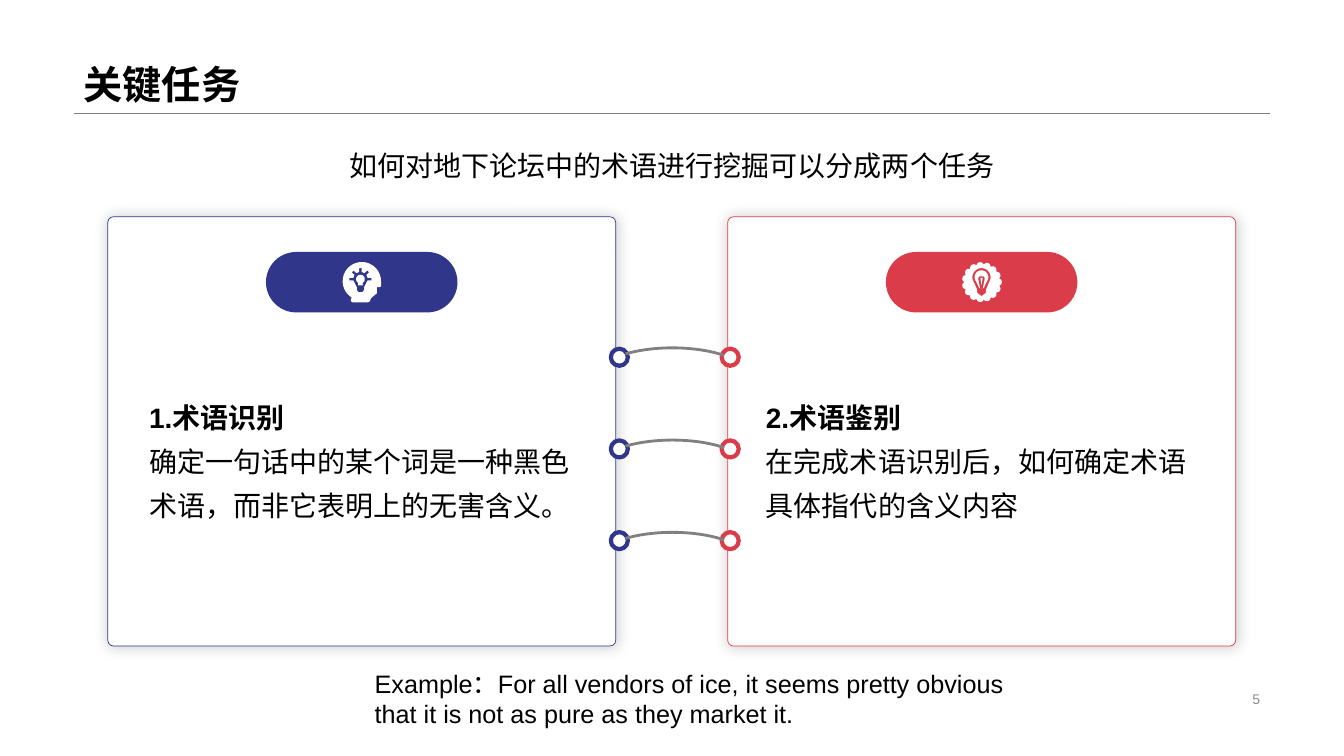
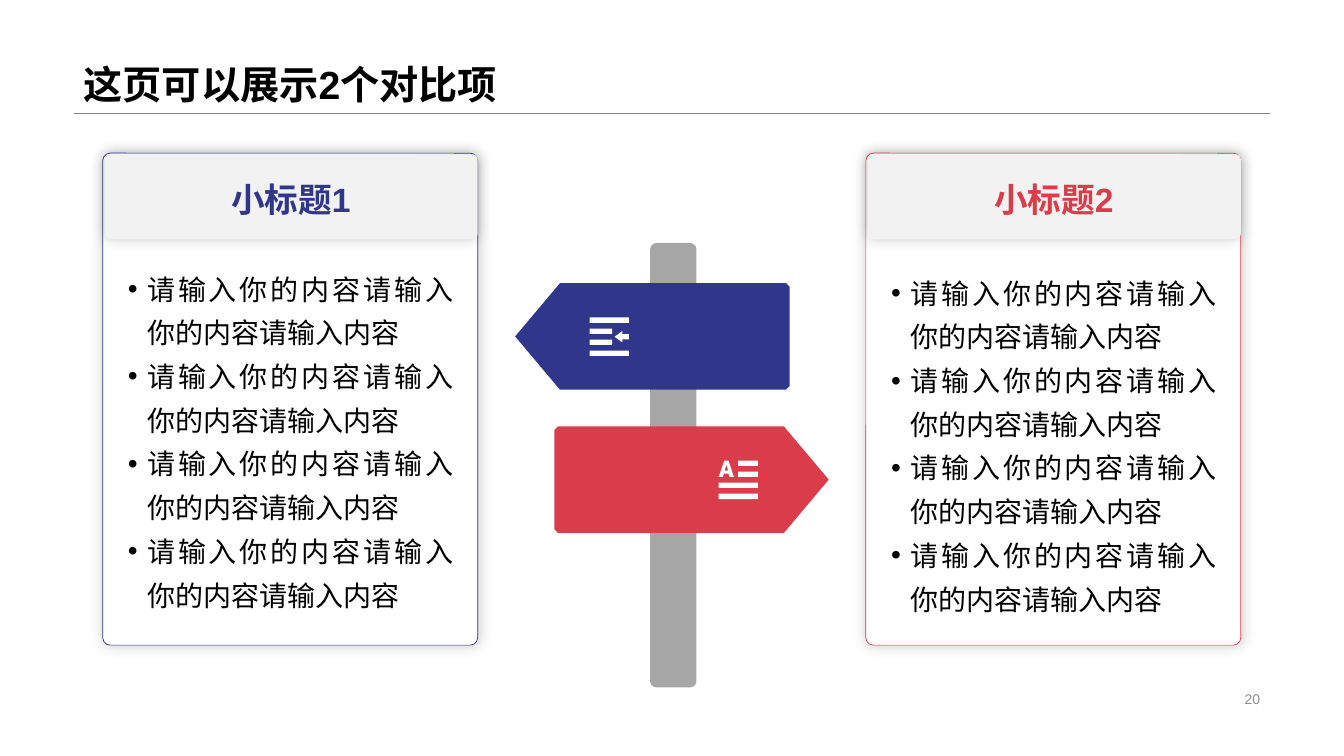
from dataclasses import dataclass
from math import cos, radians, sin
from typing import Any

from lxml import etree
from pptx import Presentation
from pptx import util as u
from pptx.dml.color import RGBColor
from pptx.enum import shapes, text
from pptx.oxml import ns

Point = tuple[float, float]
Contour = list[Point]
Box = tuple[float, float, float, float]

# Shared style
BLUE = RGBColor(0x30, 0x36, 0x89)
RED = RGBColor(0xDA, 0x3C, 0x49)
WHITE = RGBColor(0xFF, 0xFF, 0xFF)
BLACK = RGBColor(0, 0, 0)
GRAY = RGBColor(0x80, 0x80, 0x80)
POLE_GRAY = RGBColor(0xA6, 0xA6, 0xA6)
HEADER_GRAY = RGBColor(0xF2, 0xF2, 0xF2)
NUMBER_GRAY = RGBColor(0x8C, 0x8C, 0x8C)
FONT = "Arial"
LEFT, RIGHT, TITLE_BOTTOM = 52.6, 907.2, 80.6
ALIGN, ANCHOR, SHAPE = text.PP_ALIGN, text.MSO_ANCHOR, shapes.MSO_SHAPE


@dataclass
class Para:
    text: str
    size: float = 20
    bold: bool = False
    color: RGBColor = BLACK
    align: Any = ALIGN.LEFT
    spacing: float = 1.3
    bullet: bool = False


@dataclass
class Task:
    x: float
    text_x: float
    dot_x: float
    color: RGBColor
    heading: str
    body: str
    icon_x: float
    icon: list[Contour]


@dataclass
class Option:
    x: float
    list_y: float
    color: RGBColor
    heading: str


@dataclass
class Sign:
    x: float
    y: float
    color: RGBColor
    outline: Contour
    icon_at: Point
    icon: list[Contour]


def apply(obj: Any, values: dict[str, Any]) -> None:
    for name, value in values.items():
        setattr(obj, name, value)


def place(sp: Any, box: Box) -> None:
    apply(sp, dict(zip(("left", "top", "width", "height"), map(u.Pt, box))))


def add_bullet(p: Any) -> None:
    pPr = p._p.get_or_add_pPr()
    pPr.set("marL", str(u.Pt(13.7)))
    pPr.set("indent", str(-u.Pt(13.7)))
    etree.SubElement(pPr, ns.qn("a:buFont")).set("typeface", FONT)
    etree.SubElement(pPr, ns.qn("a:buChar")).set("char", "•")


def write(sp: Any, paras: list[Para], anchor: Any = ANCHOR.MIDDLE, inset: float = 7.2) -> None:
    tf = sp.text_frame
    apply(tf, {"word_wrap": True, "auto_size": text.MSO_AUTO_SIZE.NONE,
               "vertical_anchor": anchor,
               "margin_left": u.Pt(inset), "margin_right": u.Pt(inset),
               "margin_top": u.Pt(3.6), "margin_bottom": u.Pt(3.6)})
    for i, para in enumerate(paras):
        p = tf.add_paragraph() if i else tf.paragraphs[0]
        if para.bullet:
            add_bullet(p)
        apply(p, {"alignment": para.align, "line_spacing": para.spacing,
                  "space_before": u.Pt(0)})
        r = p.add_run()
        r.text = para.text
        apply(r.font, {"size": u.Pt(para.size), "bold": para.bold, "name": FONT})
        r.font.color.rgb = para.color


def add_text(s: Any, box: Box, paras: list[Para], anchor: Any = ANCHOR.MIDDLE) -> None:
    write(s.shapes.add_textbox(*map(u.Pt, box)), paras, anchor)


def paint(sp: Any, fill: RGBColor | None, line: RGBColor | None = None, width: float = 0) -> None:
    sp.shadow.inherit = False
    if fill is None:
        sp.fill.background()
    else:
        sp.fill.solid()
        sp.fill.fore_color.rgb = fill
    if line is None:
        sp.line.fill.background()
    else:
        sp.line.color.rgb = line
        sp.line.width = u.Pt(width)


def add_shape(s: Any, kind: Any, box: Box, fill: RGBColor | None, line: RGBColor | None = None,
              width: float = 0, adj: tuple[float, ...] = (), glow: bool = False) -> None:
    sp = s.shapes.add_shape(kind, *map(u.Pt, box))
    for i, value in enumerate(adj):
        sp.adjustments[i] = value
    paint(sp, fill, line, width)
    if glow:
        effects = sp._element.spPr.find(ns.qn("a:effectLst"))
        shadow = etree.SubElement(effects, ns.qn("a:outerShdw"), blurRad=str(u.Pt(10)),
                                  dist="0", dir="0", algn="ctr", rotWithShape="0")
        color = etree.SubElement(shadow, ns.qn("a:srgbClr"), val=str(BLACK))
        etree.SubElement(color, ns.qn("a:alpha"), val="20000")


def add_outline(s: Any, x: float, y: float, contours: list[Contour], fill: RGBColor) -> None:
    paths = [[(u.Pt(x + px), u.Pt(y + py)) for px, py in c] for c in contours]
    builder = s.shapes.build_freeform(*paths[0][0])
    for i, path in enumerate(paths):
        if i:
            builder.move_to(*path[0])
        builder.add_line_segments(path[1:], close=True)
    paint(builder.convert_to_shape(), fill)


# Outline geometry, in points from the top left of each figure
def polar(cx: float, cy: float, r: float, angle: float) -> Point:
    return cx + r * cos(radians(angle)), cy + r * sin(radians(angle))


def arc(cx: float, cy: float, r: float, start: float, end: float, n: int = 32) -> Contour:
    return [polar(cx, cy, r, start + (end - start) * i / n) for i in range(n + 1)]


def rect(x: float, y: float, w: float, h: float) -> Contour:
    return [(x, y), (x + w, y), (x + w, y + h), (x, y + h)]


HEAD_ICON = [
    arc(13.7, 13.7, 13.7, 122, 360)
    + [(27.4, 17.3), (26.5, 18), (24.5, 18), (24.5, 22.3), (20.2, 25.9), (19.4, 28.1),
       (18, 28.8), (7.2, 28.8), (5.8, 28), (5.8, 27)],
    [polar(12.7, 12.2, r, ray + d) for ray in range(180, 361, 45)
     for d, r in ((-10, 5.2), (-7, 7.9), (7, 7.9), (10, 5.2))]
    + [(16, 16.5), (15.3, 18), (15.3, 20), (14, 21.6), (11.4, 21.6), (10.1, 20),
       (10.1, 18), (9.4, 16.5)],
    arc(12.7, 12.2, 3.1, 120, 420) + [(14.4, 16.6), (11, 16.6)],
]
GEAR_ICON = [
    [polar(14, 14.3, (14.3, 14, 12.7, 14)[i % 4], i * 6) for i in range(60)],
    arc(13.7, 10.8, 6.5, 150, 390)
    + [(18.5, 16), (17, 19.5), (16.8, 22), (15.5, 23), (13.7, 24.4), (12, 23),
       (10.7, 22), (10.5, 19.5), (9, 16)],
    arc(13.7, 10.8, 4.9, 150, 390) + [(17, 15), (15.3, 18.7), (12.2, 18.7), (10.4, 15)],
    [(11.3, 11.5), (12.2, 10.2), (15.3, 10.2), (16.1, 11.5), (14.7, 18.7), (12.7, 18.7)],
    [(12.9, 11.3), (14.6, 11.3), (13.7, 16.5)],
]
INDENT_ICON = [rect(0, i * 7.9, w, 3.8) for i, w in enumerate((28, 16, 16, 28))] + [
    [(17.8, 13.8), (23.3, 9.8), (23.3, 11.9), (28, 11.9), (28, 15.7), (23.3, 15.7), (23.3, 17.8)]]
LETTER_ICON = [rect(x, i * 7.9, 28 - x, 3.8) for i, x in enumerate((13.8, 13.8, 0, 0))] + [
    [(4, 0), (7, 0), (10.8, 11.7), (7.7, 11.7), (7, 9.4), (3.7, 9.4), (3, 11.7), (0, 11.7)],
    [(5.5, 2.9), (4.2, 7.2), (6.7, 7.2)]]
SIGN_W = 196
SIGN_RIGHT = [(2.5, 0), (164, 0), (SIGN_W, 38), (164, 76), (2.5, 76), (0, 73.5), (0, 2.5)]
SIGN_LEFT = [(SIGN_W - x, y) for x, y in SIGN_RIGHT]


def add_slide(prs: Any, layout: int, title: str, number: str) -> Any:
    """Title, rule and page number common to every slide."""
    s = prs.slides.add_slide(prs.slide_layouts[layout])
    place(s.shapes.title, (LEFT, 0, RIGHT - LEFT, TITLE_BOTTOM))
    write(s.shapes.title, [Para(title, 28, True, spacing=0.9)], ANCHOR.BOTTOM)
    rule = s.shapes.add_connector(shapes.MSO_CONNECTOR.STRAIGHT, *map(
        u.Pt, (LEFT, TITLE_BOTTOM, RIGHT, TITLE_BOTTOM)))
    rule.line.color.rgb = GRAY
    rule.line.width = u.Pt(0.25)
    etree.SubElement(rule._element.spPr, ns.qn("a:effectLst"))
    add_text(s, (678.2, 491, 229, 16.6),
             [Para(number, 10, color=NUMBER_GRAY, align=ALIGN.RIGHT, spacing=1)])
    return s


def build_tasks(prs: Any) -> None:
    s = add_slide(prs, 5, "关键任务", "5")
    add_text(s, (77, 92.2, 805.7, 43.9),
             [Para("如何对地下论坛中的术语进行挖掘可以分成两个任务", align=ALIGN.CENTER)])
    tasks = [
        Task(77, 99.4, 436.3, BLUE, "1.术语识别",
             "确定一句话中的某个词是一种黑色术语，而非它表明上的无害含义。", 244.8, HEAD_ICON),
        Task(519.8, 540, 515.5, RED, "2.术语鉴别",
             "在完成术语识别后，如何确定术语具体指代的含义内容", 687.4, GEAR_ICON),
    ]
    # Cards with a pill, an icon, text and three link dots
    for t in tasks:
        add_shape(s, SHAPE.ROUNDED_RECTANGLE, (t.x, 154.8, 362.9, 306.7), WHITE, t.color, 0.5,
                  (0.014,), glow=True)
        add_shape(s, SHAPE.ROUNDED_RECTANGLE, (t.x + 113, 180, 136.8, 43.2), t.color, adj=(0.5,))
        add_outline(s, t.icon_x, 187.2, t.icon, WHITE)
        add_text(s, (t.text_x, 232.6, 321.8, 186.5), [Para(t.heading, bold=True), Para(t.body)])
        for i in range(3):
            add_shape(s, SHAPE.OVAL, (t.dot_x, 249.1 + 65.5 * i, 12.2, 12.2), WHITE, t.color, 3)
    # Arcs between the cards
    for i in range(3):
        add_shape(s, SHAPE.ARC, (427, 248.5 + 65.9 * i, 106.6, 38.9), None, GRAY, 2,
                  (122.609, 203.524))
    add_text(s, (260.6, 473.8, 480.2, 51.1),
             [Para("Example：For all vendors of ice, it seems pretty obvious "
                   "that it is not as pure as they market it.", 18, spacing=1)], ANCHOR.TOP)


def build_comparison(prs: Any) -> None:
    s = add_slide(prs, 3, "这页可以展示2个对比项", "20")
    options = [Option(73.4, 183.6, BLUE, "小标题1"), Option(618.5, 186.5, RED, "小标题2")]
    items = [Para("请输入你的内容请输入你的内容请输入内容", align=ALIGN.JUSTIFY, bullet=True)] * 4
    # Cards with a header and a list
    for i, o in enumerate(options, 1):
        add_shape(s, SHAPE.ROUNDED_RECTANGLE, (o.x, 109.4, 267.8, 351.4), WHITE, o.color, 0.5,
                  (0.02,), glow=True)
        add_shape(s, SHAPE.ROUNDED_RECTANGLE, (o.x + 1.4, 110.2, 266.4, 60.5), HEADER_GRAY,
                  adj=(0.059,), glow=True)
        add_text(s, (o.x + 21.6, 113, 225.4, 50.4),
                 [Para(o.heading, 24, True, o.color, ALIGN.CENTER)])
        body = s.placeholders[i]
        place(body, (o.x + 18, o.list_y, 232.6, 265.7))
        write(body, items, ANCHOR.TOP, inset=0)
        s.shapes._spTree.append(body._element)  # in front of its card
    # Signpost
    add_shape(s, SHAPE.ROUNDED_RECTANGLE, (464.4, 173.5, 33.1, 317.5), POLE_GRAY, adj=(0.138,))
    for sign in (Sign(396, 304.6, RED, SIGN_RIGHT, (513.4, 329), LETTER_ICON),
                 Sign(368, 202.3, BLUE, SIGN_LEFT, (421.2, 226.8), INDENT_ICON)):
        add_outline(s, sign.x, sign.y, [sign.outline], sign.color)
        add_outline(s, *sign.icon_at, sign.icon, WHITE)


def main() -> None:
    prs = Presentation()
    apply(prs, {"slide_width": u.Pt(960), "slide_height": u.Pt(540)})
    build_tasks(prs)
    build_comparison(prs)
    prs.save("out.pptx")


if __name__ == "__main__":
    main()
